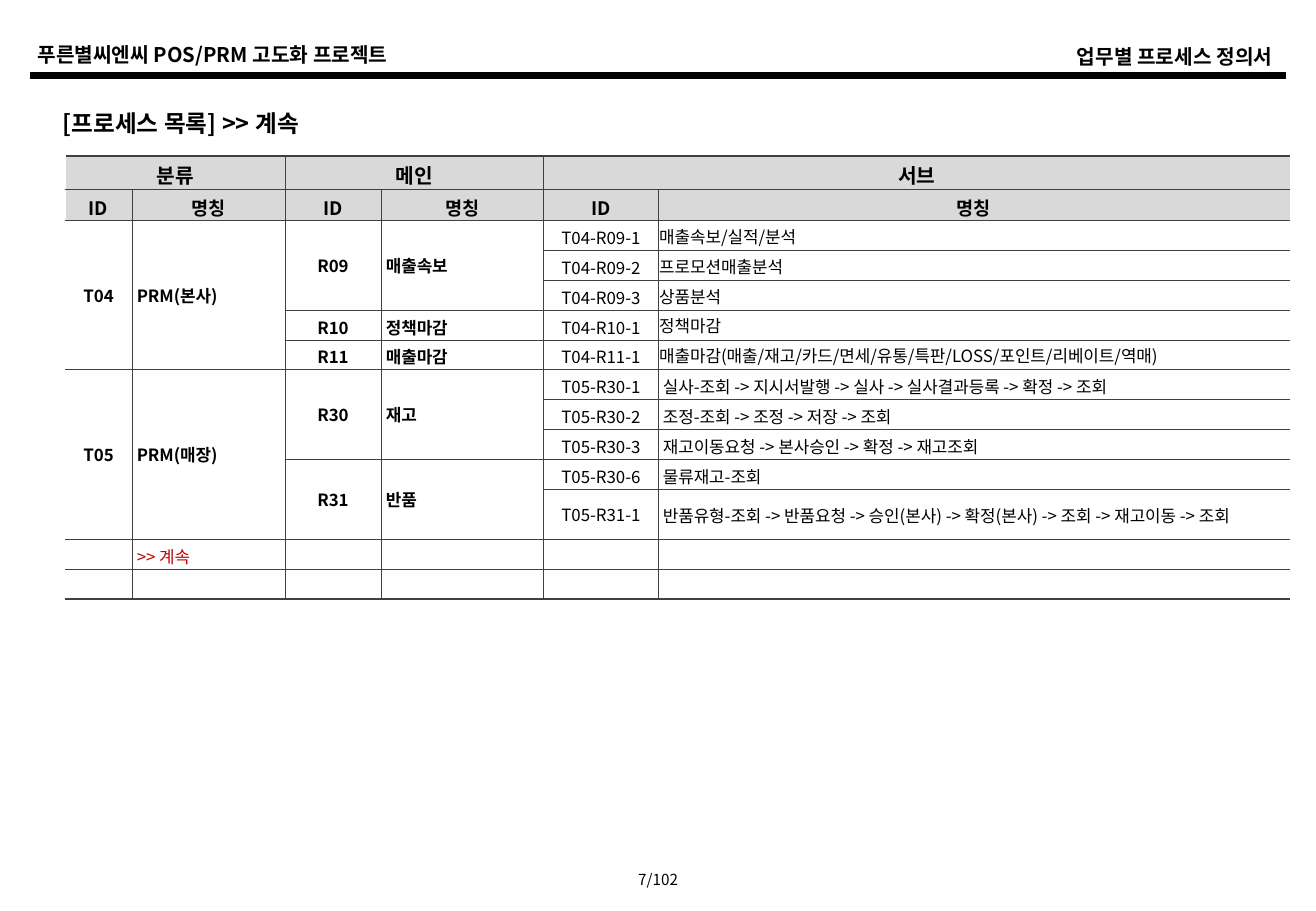
from typing import NamedTuple

from lxml import etree
from pptx import Presentation
from pptx.dml.color import RGBColor
from pptx.enum.shapes import MSO_CONNECTOR
from pptx.enum.text import MSO_ANCHOR, PP_ALIGN
from pptx.oxml.ns import qn
from pptx.util import Emu, Inches, Pt

LEFT, MID, RIGHT = PP_ALIGN.LEFT, PP_ALIGN.CENTER, PP_ALIGN.RIGHT
TOP, CENTER = MSO_ANCHOR.TOP, MSO_ANCHOR.MIDDLE
STRAIGHT = MSO_CONNECTOR.STRAIGHT

BLACK = RGBColor(0x00, 0x00, 0x00)
WHITE = RGBColor(0xFF, 0xFF, 0xFF)
GRAY = RGBColor(0xD9, 0xD9, 0xD9)
DARK = RGBColor(0x40, 0x40, 0x40)
RED = RGBColor(0xC0, 0x00, 0x00)

FONT = "Noto Sans CJK KR"
WIDE, HIGH = Inches(10.83), Inches(7.5)

# Relative widths of columns and heights of rows
COLS = [0.55, 1.26, 0.79, 1.34, 0.94, 5.2]
ROWS = [1.14, 1.04] + [1] * 9 + [1.7, 1, 1]
TALL = 11  # row with two lines of text


class Label(NamedTuple):
    text: str
    box: tuple[float, float, float, float]  # percent of the slide
    size: float
    bold: bool = True
    align: int = LEFT
    anchor: int = CENTER
    lines: float = 1


class Entry(NamedTuple):
    row: int
    col: int
    text: str
    down: int = 1
    over: int = 1
    color: RGBColor = BLACK


LABELS = [
    Label("7/102", (45.71, 94.93, 8.59, 3.33), 9, bold=False, align=MID),
    Label("푸른별씨엔씨 POS/PRM 고도화 프로젝트", (1.94, 4, 38.32, 4), 12),
    Label("업무별 프로세스 정의서", (59.28, 4.2, 38.32, 4), 12, align=RIGHT),
    Label("[프로세스 목록] >> 계속", (3.85, 10, 95.29, 6), 14,
          anchor=TOP, lines=1.4),
]

# Header and group cells
GROUPS = [
    Entry(0, 0, "분류", over=2), Entry(0, 2, "메인", over=2),
    Entry(0, 4, "서브", over=2),
    *[Entry(1, col, ("ID", "명칭")[col % 2]) for col in range(6)],
    Entry(2, 0, "T04", 5), Entry(2, 1, "PRM(본사)", 5),
    Entry(2, 2, "R09", 3), Entry(2, 3, "매출속보", 3),
    Entry(5, 2, "R10"), Entry(5, 3, "정책마감"),
    Entry(6, 2, "R11"), Entry(6, 3, "매출마감"),
    Entry(7, 0, "T05", 5), Entry(7, 1, "PRM(매장)", 5),
    Entry(7, 2, "R30", 3), Entry(7, 3, "재고", 3),
    Entry(10, 2, "R31", 2), Entry(10, 3, "반품", 2),
    Entry(12, 1, ">> 계속", color=RED),
]

# Sub processes, one to a row
SUBS = [
    ("T04-R09-1", "매출속보/실적/분석"),
    ("T04-R09-2", "프로모션매출분석"),
    ("T04-R09-3", "상품분석"),
    ("T04-R10-1", "정책마감"),
    ("T04-R11-1", "매출마감(매출/재고/카드/면세/유통/특판/LOSS/포인트/리베이트/역매)"),
    ("T05-R30-1", "실사-조회 -> 지시서발행 -> 실사 -> 실사결과등록 -> 확정 -> 조회"),
    ("T05-R30-2", "조정-조회 -> 조정 -> 저장 -> 조회"),
    ("T05-R30-3", "재고이동요청 -> 본사승인 -> 확정 -> 재고조회"),
    ("T05-R30-6", "물류재고-조회"),
    ("T05-R31-1", "반품유형-조회 -> 반품요청 -> 승인(본사) -> 확정(본사) -> 조회 -> 재고이동 -> 조회"),
]


def across(share: float) -> Emu:
    return Emu(round(WIDE * share / 100))


def down(share: float) -> Emu:
    return Emu(round(HIGH * share / 100))


def write(frame, text: str, *, size: float, bold: bool = False,
          color: RGBColor = BLACK, align: int = LEFT, lines: float = 1) -> None:
    para = frame.paragraphs[0]
    para.alignment, para.line_spacing = align, lines
    if not text:
        etree.SubElement(para._p, qn("a:endParaRPr"), sz=str(size * 100))
        return
    run = para.add_run()
    run.text = text
    font = run.font
    font.name, font.size, font.bold = FONT, Pt(size), bold
    font.color.rgb = color
    font._element.set("kern", "0")
    etree.SubElement(font._element, qn("a:ea"), typeface=FONT)


def label(slide, item: Label) -> None:
    x, y, w, h = item.box
    shape = slide.shapes.add_textbox(across(x), down(y), across(w), down(h))
    frame = shape.text_frame
    frame.word_wrap, frame.vertical_anchor = True, item.anchor
    write(frame, item.text, size=item.size, bold=item.bold,
          align=item.align, lines=item.lines)


def rule(slide) -> None:
    y = down(8.27)
    line = slide.shapes.add_connector(STRAIGHT, across(2.31), y, across(97.69), y)
    line.line.color.rgb, line.line.width = BLACK, Pt(4.5)
    etree.SubElement(line._element.spPr, qn("a:effectLst"))


def edge(cell, side: str, color: RGBColor, width: float) -> None:
    props = cell._tc.get_or_add_tcPr()
    line = etree.SubElement(props, qn(f"a:ln{side}"), w=str(Pt(width)))
    fill = etree.SubElement(line, qn("a:solidFill"))
    etree.SubElement(fill, qn("a:srgbClr"), val=str(color))


def style(cell, item: Entry) -> None:
    row, col = item.row, item.col
    last = len(ROWS) - 1
    edge(cell, "L", *((WHITE, 0.25) if col == 0 else (DARK, 0.5)))
    edge(cell, "R", *((WHITE, 0.25) if col + item.over == 6 else (DARK, 0.5)))
    edge(cell, "T", DARK, 1 if row == 0 else 0.5)
    edge(cell, "B", DARK, 1 if row == last else 0.5)
    if row < 2:
        cell.fill.solid()
        cell.fill.fore_color.rgb = GRAY
    else:
        cell.fill.background()
    tight = col == 5 and 2 <= row <= 6
    cell.margin_left = cell.margin_right = Inches(0.01 if tight else 0.04)
    if item.down > 1 or (row == TALL and col == 4):
        rise = 0
    else:
        rise = 0.01 if tight or row == TALL else 0.03
    cell.margin_top, cell.margin_bottom = Inches(rise), 0
    cell.vertical_anchor = CENTER


def grid(slide) -> None:
    wide, high = across(93.07), down(48.67)
    shape = slide.shapes.add_table(len(ROWS), len(COLS), across(4.95),
                                   down(17.1), wide, high)
    table = shape.table
    table.first_row = table.horz_banding = False
    for col, part in zip(table.columns, COLS):
        col.width = Emu(round(wide * part / sum(COLS)))
    for row, part in zip(table.rows, ROWS):
        row.height = Emu(round(high * part / sum(ROWS)))

    items = {(item.row, item.col): item for item in GROUPS}
    for row, pair in enumerate(SUBS, 2):
        for col, text in enumerate(pair, 4):
            items[row, col] = Entry(row, col, text)

    for row in range(len(ROWS)):
        for col in range(len(COLS)):
            cell = table.cell(row, col)
            item = items.get((row, col), Entry(row, col, ""))
            style(cell, item)
            write(cell.text_frame, item.text, color=item.color,
                  size=(12, 11)[row] if row < 2 else 10,
                  bold=row < 2 or (col < 4 and row < 12),
                  align=MID if row < 2 or col in (0, 2, 4) else LEFT)
    for item in GROUPS:
        if item.down * item.over > 1:
            end = table.cell(item.row + item.down - 1, item.col + item.over - 1)
            table.cell(item.row, item.col).merge(end)


def main() -> None:
    deck = Presentation()
    deck.slide_width, deck.slide_height = WIDE, HIGH
    slide = deck.slides.add_slide(deck.slide_layouts[6])
    rule(slide)
    grid(slide)
    for item in LABELS:
        label(slide, item)
    deck.save("out.pptx")


if __name__ == "__main__":
    main()
